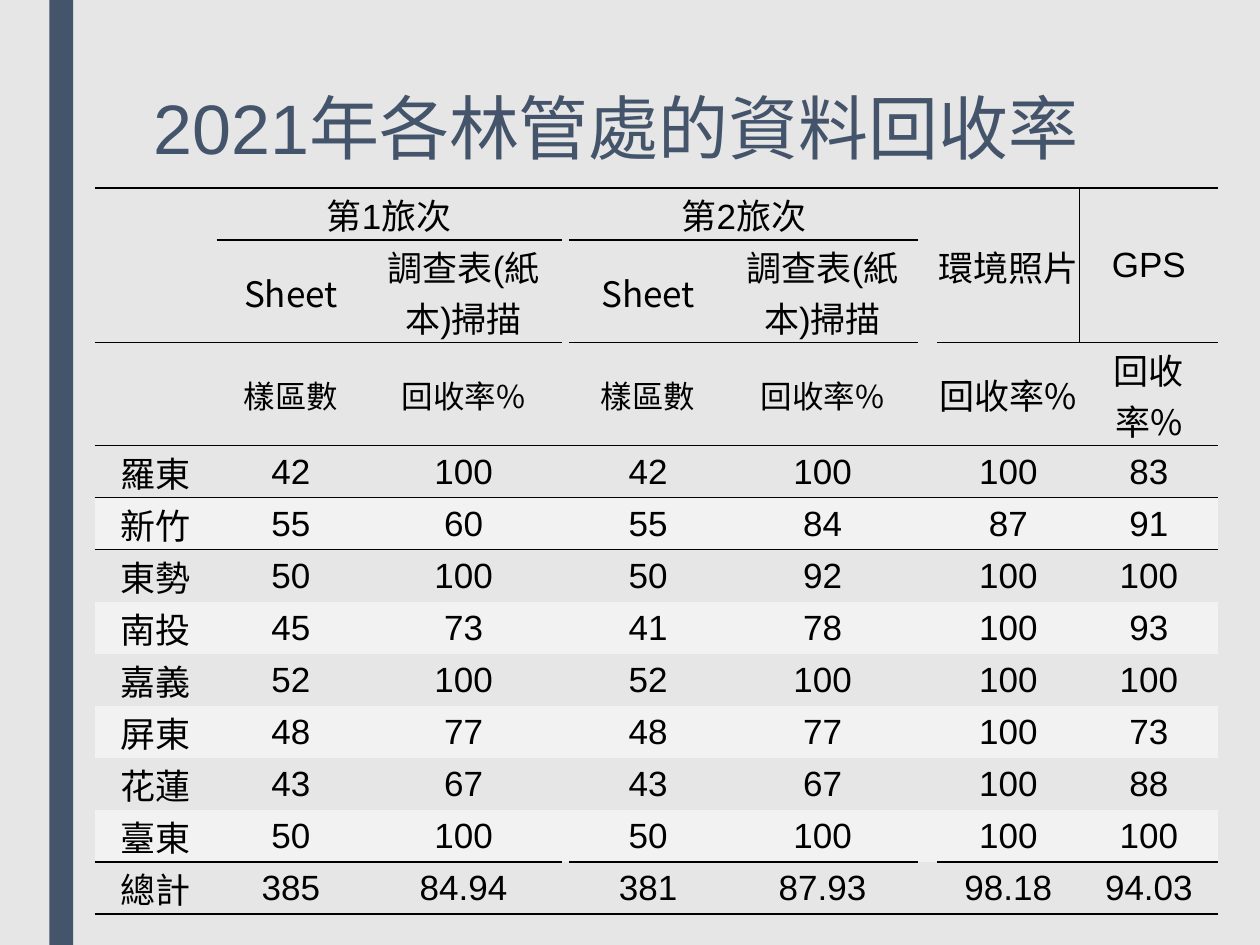
from dataclasses import dataclass

from lxml import etree
from pptx import Presentation
from pptx.dml.color import RGBColor
from pptx.enum import shapes, text
from pptx.oxml.ns import qn
from pptx.util import Pt


@dataclass(frozen=True)
class Theme:
    background: str = "E7E6E6"
    accent: str = "44546A"
    ink: str = "000000"
    band: str = "F2F2F2"
    font: str = "Arial"
    cjk_font: str = "Noto Sans CJK TC"
    title_size: int = 40
    body_size: int = 20
    unit_size: int = 18
    rule_width: float = 1


THEME = Theme()
PLAIN_TABLE_STYLE = "{2D5ABB26-0587-4C30-8999-92F81FD0307C}"

TITLE = "2021年各林管處的資料回收率"
TRIPS = ["第1旅次", "第2旅次"]
SOURCES = ["Sheet", "調查表(紙本)掃描"]
SINGLES = ["環境照片", "GPS"]
UNITS = ["樣區數", "回收率%"]
RATE = UNITS[1]
OFFICES = [
    ("羅東", "42", "100", "42", "100", "100", "83"),
    ("新竹", "55", "60", "55", "84", "87", "91"),
    ("東勢", "50", "100", "50", "92", "100", "100"),
    ("南投", "45", "73", "41", "78", "100", "93"),
    ("嘉義", "52", "100", "52", "100", "100", "100"),
    ("屏東", "48", "77", "48", "77", "100", "73"),
    ("花蓮", "43", "67", "43", "67", "100", "88"),
    ("臺東", "50", "100", "50", "100", "100", "100"),
    ("總計", "385", "84.94", "381", "87.93", "98.18", "94.03"),
]

COLUMN_WIDTHS = [69.8, 85, 112.3, 4.3, 90, 109.4, 10.8, 81.4, 79.2]
ROW_HEIGHTS = [11.5, 38.9, 36] + [26.6] * len(OFFICES)
HEADER_ROWS = 3
TRIP_COLUMNS = [1, 4]
SINGLE_COLUMNS = [7, 8]
GAP_COLUMNS = [3, 6]
ALL_COLUMNS = set(range(len(COLUMN_WIDTHS)))
GROUPED = ALL_COLUMNS - set(GAP_COLUMNS)
LAST_ROW = len(ROW_HEIGHTS) - 1

# Horizontal rules: number of rows above the rule -> columns it crosses
RULES = {
    0: ALL_COLUMNS,
    1: {1, 2, 4, 5},
    2: GROUPED,
    3: ALL_COLUMNS,
    4: ALL_COLUMNS,
    LAST_ROW: GROUPED,
    LAST_ROW + 1: ALL_COLUMNS,
}


def color(value):
    return RGBColor.from_string(value)


def add_span(para, words, size, ink, font=THEME.font):
    span = para.add_run()
    span.text = words
    span.font.name = font
    span.font.size = Pt(size)
    span.font.color.rgb = color(ink)
    east_asian = etree.SubElement(span.font._element, qn("a:ea"))
    east_asian.set("typeface", THEME.cjk_font)


def spread(values):
    """Place seven office values around the gap columns."""
    return dict(zip(sorted(GROUPED), values))


def table_rows():
    top = dict(zip(TRIP_COLUMNS + SINGLE_COLUMNS, TRIPS + SINGLES))
    sources = {first + i: name for first in TRIP_COLUMNS
               for i, name in enumerate(SOURCES)}
    units = spread(["", *UNITS, *UNITS, RATE, RATE])
    return [top, sources, units] + [spread(office) for office in OFFICES]


def add_rule(cell, side):
    line = etree.SubElement(cell._tc.get_or_add_tcPr(), qn(f"a:{side}"))
    line.set("w", str(Pt(THEME.rule_width)))
    fill = etree.SubElement(line, qn("a:solidFill"))
    etree.SubElement(fill, qn("a:srgbClr")).set("val", THEME.ink)


def format_cell(cell, row, column):
    cell.margin_left = cell.margin_right = Pt(0.6)
    cell.margin_top, cell.margin_bottom = Pt(0.7), Pt(0)
    cell.vertical_anchor = text.MSO_ANCHOR.MIDDLE
    if row < 2 and column == SINGLE_COLUMNS[0]:
        add_rule(cell, "lnR")
    if column in RULES.get(row, ()):
        add_rule(cell, "lnT")
    if column in RULES.get(row + 1, ()):
        add_rule(cell, "lnB")
    if HEADER_ROWS < row < LAST_ROW and row % 2 == 0:
        cell.fill.solid()
        cell.fill.fore_color.rgb = color(THEME.band)
    else:
        cell.fill.background()


def write_cell(cell, words, row, column):
    small = row == 2 and column not in SINGLE_COLUMNS
    size = THEME.unit_size if small else THEME.body_size
    font = THEME.cjk_font if words in (SOURCES[0], RATE) else THEME.font
    para = cell.text_frame.paragraphs[0]
    para.alignment = text.PP_ALIGN.CENTER
    add_span(para, words, size, THEME.ink, font)


def add_rates(page):
    frame = page.shapes.add_table(
        len(ROW_HEIGHTS), len(COLUMN_WIDTHS), Pt(54), Pt(107.3),
        Pt(sum(COLUMN_WIDTHS)), Pt(sum(ROW_HEIGHTS)))
    table = frame.table
    table.first_row = table.horz_banding = False
    table._tbl.tblPr.find(qn("a:tableStyleId")).text = PLAIN_TABLE_STYLE
    for column, width in zip(table.columns, COLUMN_WIDTHS):
        column.width = Pt(width)
    for row, height in zip(table.rows, ROW_HEIGHTS):
        row.height = Pt(height)

    for row, values in enumerate(table_rows()):
        for column in range(len(COLUMN_WIDTHS)):
            cell = table.cell(row, column)
            format_cell(cell, row, column)
            if values.get(column):
                write_cell(cell, values[column], row, column)

    for column in TRIP_COLUMNS:
        table.cell(0, column).merge(table.cell(0, column + 1))
    for column in [GAP_COLUMNS[1]] + SINGLE_COLUMNS:
        table.cell(0, column).merge(table.cell(1, column))


def add_side_bar(page):
    bar = page.shapes.add_shape(
        shapes.MSO_SHAPE.RECTANGLE, Pt(28.3), Pt(0), Pt(13.5), Pt(540))
    bar.shadow.inherit = False
    bar.fill.solid()
    bar.fill.fore_color.rgb = color(THEME.accent)
    bar.line.fill.background()


def write_title(page):
    title = page.shapes.title
    title.left, title.top = Pt(80.6), Pt(54)
    title.width, title.height = Pt(567.4), Pt(59.8)
    box = title.text_frame
    box.word_wrap = True
    box.auto_size = text.MSO_AUTO_SIZE.NONE
    box.vertical_anchor = text.MSO_ANCHOR.TOP
    box.margin_top = Pt(0)
    para = box.paragraphs[0]
    para.alignment = text.PP_ALIGN.LEFT
    para.line_spacing = 0.89
    add_span(para, TITLE, THEME.title_size, THEME.accent)


def main():
    deck = Presentation()
    deck.slide_width, deck.slide_height = Pt(720), Pt(540)
    page = deck.slides.add_slide(deck.slide_layouts[5])
    page.background.fill.solid()
    page.background.fill.fore_color.rgb = color(THEME.background)
    add_side_bar(page)
    write_title(page)
    add_rates(page)
    deck.save("out.pptx")


if __name__ == "__main__":
    main()
